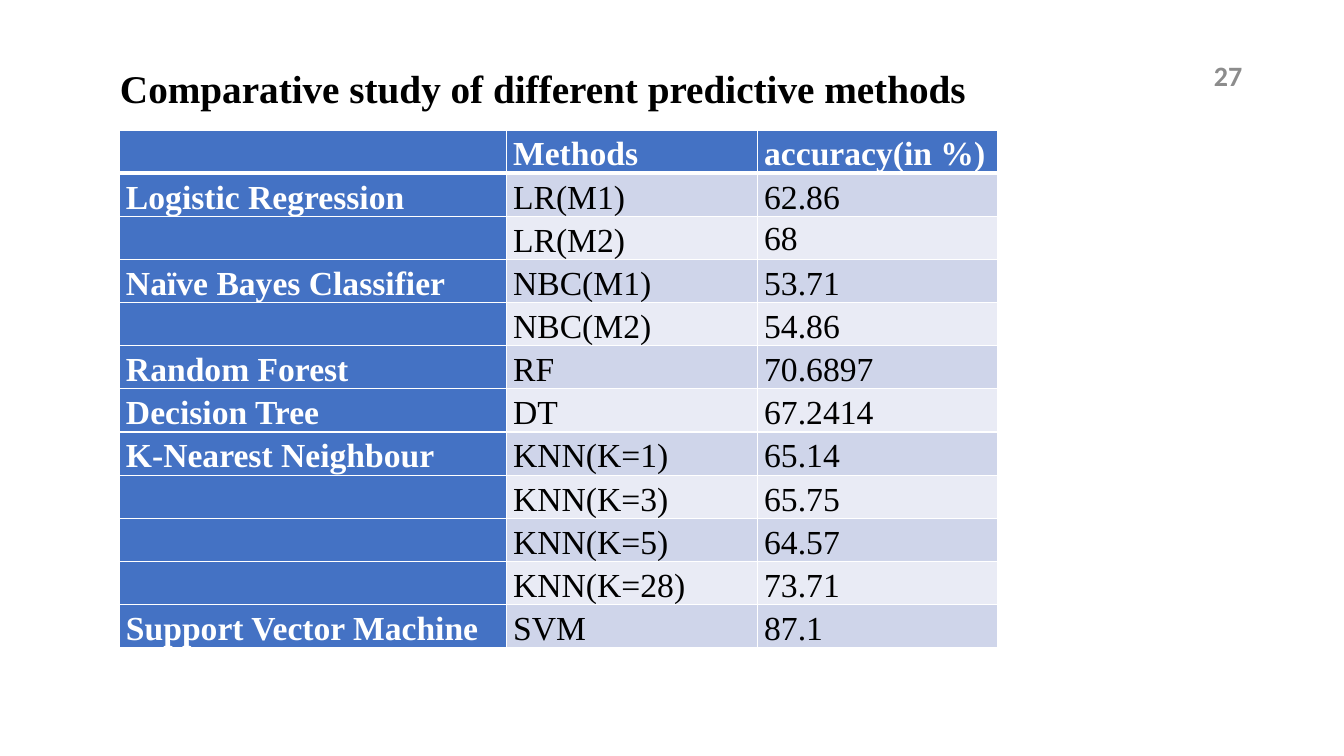
from lxml import etree
from pptx import Presentation
from pptx import util as u
from pptx.dml.color import RGBColor
from pptx.enum import text
from pptx.oxml.ns import qn

TITLE = "Comparative study of different predictive methods"
PAGE_NUMBER = "27"
ROWS = [
    ("", "Methods", "accuracy(in %)"),
    ("Logistic Regression", "LR(M1)", "62.86"),
    ("", "LR(M2)", "68"),
    ("Naïve Bayes Classifier", "NBC(M1)", "53.71"),
    ("", "NBC(M2)", "54.86"),
    ("Random Forest", "RF", "70.6897"),
    ("Decision Tree", "DT", "67.2414"),
    ("K-Nearest Neighbour", "KNN(K=1)", "65.14"),
    ("", "KNN(K=3)", "65.75"),
    ("", "KNN(K=5)", "64.57"),
    ("", "KNN(K=28)", "73.71"),
    ("Support Vector Machine", "SVM", "87.1"),
]
COLUMNS = (3.84, 2.49, 2.38)
TABLE_LEFT, TABLE_TOP, TABLE_HEIGHT = 1.18, 1.29, 5.14
CENTRED = (2, 2)

BLACK = RGBColor(0x00, 0x00, 0x00)
WHITE = RGBColor(0xFF, 0xFF, 0xFF)
GREY = RGBColor(0x8C, 0x8C, 0x8C)
BLUE = RGBColor(0x44, 0x72, 0xC4)
BANDS = (RGBColor(0xE9, 0xEB, 0xF5), RGBColor(0xCF, 0xD5, 0xEA))
SERIF, SANS = "Times New Roman", "Calibri"


def set_all(target, values):
    for name, value in values.items():
        setattr(target, name, value)


def write(frame, words, size, font, color, bold, **layout):
    para = frame.paragraphs[0]
    set_all(para, layout)
    if words:
        span = para.add_run()
        span.text = words
        set_all(span.font, {"size": u.Pt(size), "name": font, "bold": bold})
        span.font.color.rgb = color


def place(shape, left, top, width, height, anchor):
    set_all(shape, {"left": u.Inches(left), "top": u.Inches(top),
                    "width": u.Inches(width), "height": u.Inches(height)})
    set_all(shape.text_frame, {"word_wrap": True, "vertical_anchor": anchor,
                               "auto_size": text.MSO_AUTO_SIZE.NONE})
    return shape.text_frame


def add_borders(cell, bottom):
    properties = cell._tc.get_or_add_tcPr()
    for side, points in (("L", 1), ("R", 1), ("T", 1), ("B", bottom)):
        line = etree.SubElement(properties, qn(f"a:ln{side}"), w=str(u.Pt(points)))
        fill = etree.SubElement(line, qn("a:solidFill"))
        etree.SubElement(fill, qn("a:srgbClr"), val=str(WHITE))


def add_results(page):
    table = page.shapes.add_table(
        len(ROWS), len(COLUMNS), u.Inches(TABLE_LEFT), u.Inches(TABLE_TOP),
        u.Inches(sum(COLUMNS)), u.Inches(TABLE_HEIGHT)).table
    for column, width in zip(table.columns, COLUMNS):
        column.width = u.Inches(width)
    for r, row in enumerate(ROWS):
        table.rows[r].height = u.Inches(TABLE_HEIGHT / len(ROWS))
        for c, words in enumerate(row):
            cell = table.cell(r, c)
            heading = r == 0 or c == 0
            middle = (r, c) == CENTRED
            set_all(cell, {
                "margin_left": u.Inches(0.07), "margin_right": u.Inches(0.07),
                "margin_top": 0, "margin_bottom": 0,
                "vertical_anchor": text.MSO_ANCHOR.MIDDLE if middle
                else text.MSO_ANCHOR.BOTTOM})
            add_borders(cell, 3 if r == 0 else 1)
            cell.fill.solid()
            cell.fill.fore_color.rgb = BLUE if heading else BANDS[r % 2]
            write(cell.text_frame, words, 24, SERIF, WHITE if heading else BLACK,
                  heading, alignment=text.PP_ALIGN.JUSTIFY, line_spacing=1.07)


def main():
    deck = Presentation()
    deck.slide_width, deck.slide_height = u.Inches(13.33), u.Inches(7.5)
    page = deck.slides.add_slide(deck.slide_layouts[5])
    heading = place(page.shapes.title, 1.09, 0.59, 9.36, 0.57, text.MSO_ANCHOR.TOP)
    write(heading, TITLE, 28, SERIF, BLACK, True, alignment=text.PP_ALIGN.LEFT)
    add_results(page)
    number = place(page.shapes.add_textbox(0, 0, 0, 0), 9.42, 0.54, 3, 0.41,
                   text.MSO_ANCHOR.MIDDLE)
    write(number, PAGE_NUMBER, 20, SANS, GREY, True, alignment=text.PP_ALIGN.RIGHT)
    deck.save("out.pptx")


if __name__ == "__main__":
    main()
